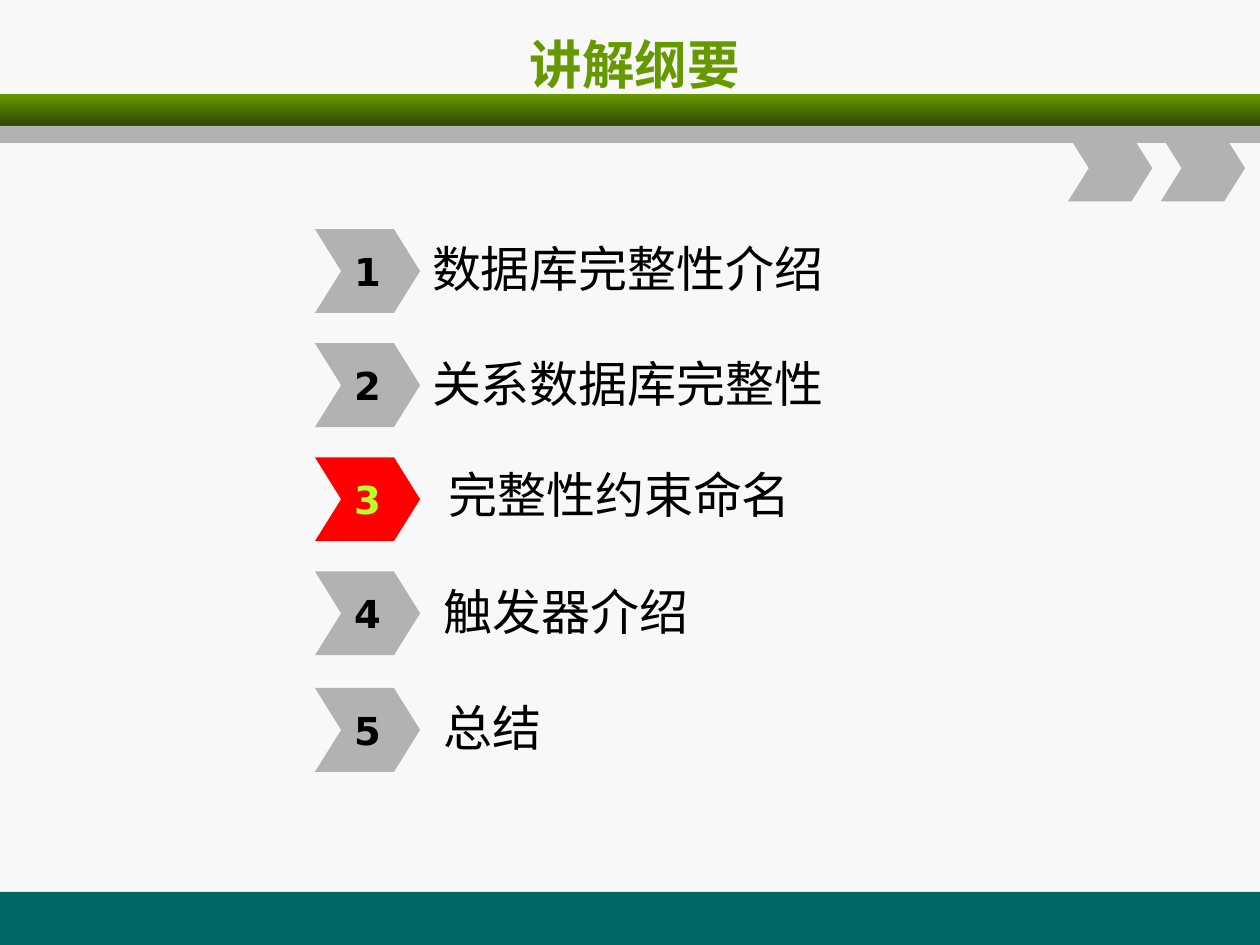
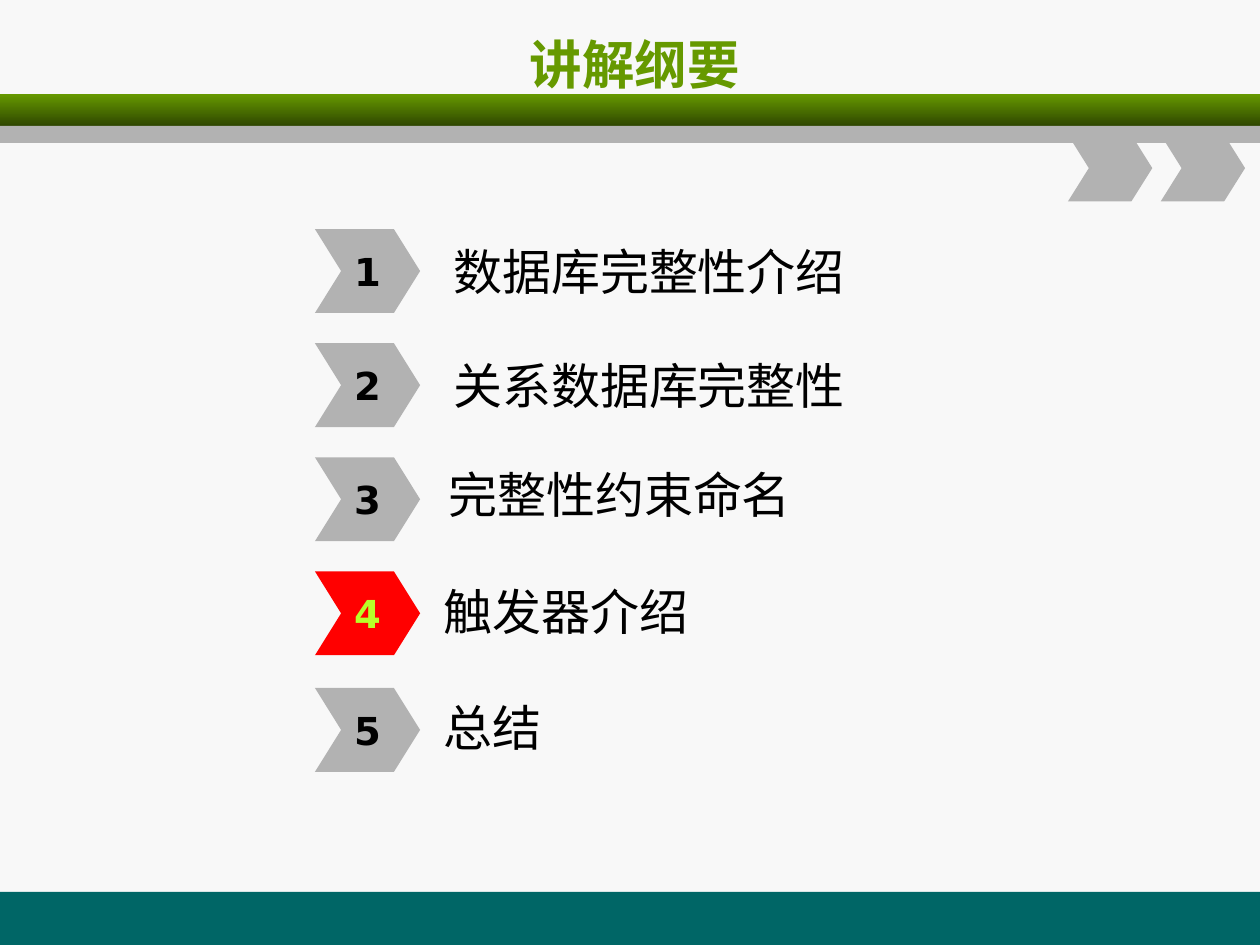
"""Build two outline slides that highlight the current topic of a database lecture."""
from lxml import etree
from pptx import Presentation
from pptx import util as u
from pptx.dml import color
from pptx.enum import shapes, text
from pptx.oxml import ns

TITLE = "讲解纲要"
TOPICS = ["数据库完整性介绍", "关系数据库完整性", "完整性约束命名", "触发器介绍", "总结"]
LOWER_LABELS = [(8.79, 0), (8.69, 0.07), (8.69, 0.05)]
OUTLINES = [
    {"current": 3, "font": "Noto Sans CJK SC",
     "labels": [(8.46, 0.05), (8.46, 0.07)] + LOWER_LABELS},
    {"current": 4, "font": "DejaVu Sans",
     "labels": [(8.89, 0.1), (8.89, 0.1)] + LOWER_LABELS},
]

COLORS = {
    "background": "F8F8F8", "footer": "006666", "green": "669900",
    "dark_green": "2F4700", "grey": "B2B2B2", "red": "FF0000",
    "lime": "B8FF29", "black": "000000",
}
LATIN_FONT = "DejaVu Sans"
ASIAN_FONT = "Noto Sans CJK SC"
MARKER_TOP, MARKER_PITCH, LAST_MARKER_DROP = 4.62, 2.3, 0.05
MARKER_BOX = {"left": 6.35, "width": 2.12, "height": 1.69}


def rgb(name):
    return color.RGBColor.from_string(COLORS[name])


def write(shape, content, size, fill="black", font=LATIN_FONT, bold=False,
          align=text.PP_ALIGN.LEFT, wrap=True):
    frame = shape.text_frame
    frame.word_wrap = wrap
    frame.vertical_anchor = text.MSO_ANCHOR.MIDDLE
    paragraph = frame.paragraphs[0]
    paragraph.alignment = align
    run = paragraph.add_run()
    run.text = content
    run.font.size = u.Pt(size)
    run.font.bold = bold
    run.font.name = font
    run.font.color.rgb = rgb(fill)
    properties = run.font._element if hasattr(run.font, "_element") else run._r.get_or_add_rPr()
    etree.SubElement(properties, ns.qn("a:ea"), typeface=ASIAN_FONT)


def add_block(slide, kind, left, top, width, height, fill, adjustment=None):
    shape = slide.shapes.add_shape(kind, *map(u.Cm, (left, top, width, height)))
    shape.shadow.inherit = False
    shape.line.fill.background()
    shape.fill.solid()
    shape.fill.fore_color.rgb = rgb(fill)
    if adjustment is not None:
        shape.adjustments[0] = adjustment
    return shape


def decorate_layout(layout, slide):
    rectangle, chevron = shapes.MSO_SHAPE.RECTANGLE, shapes.MSO_SHAPE.CHEVRON
    footer = add_block(slide, rectangle, 0, 17.98, 25.4, 1.07, "footer")
    green_band = add_block(slide, rectangle, 0, 1.9, 25.4, 0.64, "green")
    green_band.fill.gradient()
    green_band.fill.gradient_angle = 270
    for stop, name in zip(green_band.fill.gradient_stops, ("green", "dark_green")):
        stop.color.rgb = rgb(name)
    grey_band = add_block(slide, rectangle, 0, 2.54, 25.4, 0.34, "grey")
    arrows = [add_block(slide, chevron, left, 2.72, 1.7, 1.34, "grey", 0.314)
              for left in (21.53, 23.4)]
    for shape in (footer, green_band, grey_band, *arrows):
        layout.shapes.element.append(shape.element)

    title = layout.placeholders[0]
    title.left, title.top, title.width, title.height = map(u.Cm, (1.37, 0.43, 22.86, 1.7))


def fill_outline(slide, outline):
    write(slide.shapes.title, TITLE, 30, fill="green", bold=True, align=text.PP_ALIGN.CENTER)
    for number, (topic, (left, drop)) in enumerate(zip(TOPICS, outline["labels"]), 1):
        top = MARKER_TOP + (number - 1) * MARKER_PITCH
        if number == len(TOPICS):
            top += LAST_MARKER_DROP
        current = number == outline["current"]
        marker = add_block(slide, shapes.MSO_SHAPE.CHEVRON, top=top, adjustment=0.312,
                           fill="red" if current else "grey", **MARKER_BOX)
        write(marker, str(number), 22, fill="lime" if current else "black", bold=True,
              align=text.PP_ALIGN.CENTER, wrap=False)
        label = slide.shapes.add_textbox(*map(u.Cm, (left, top + drop, 15.04, 1.47)))
        write(label, topic, 28, font=outline["font"])


def main():
    presentation = Presentation()
    presentation.slide_width, presentation.slide_height = u.Cm(25.4), u.Cm(19.05)
    background = presentation.slide_master.background.fill
    background.solid()
    background.fore_color.rgb = rgb("background")
    layout = presentation.slide_layouts.get_by_name("Title Only")
    slides = [presentation.slides.add_slide(layout) for _ in OUTLINES]
    decorate_layout(layout, slides[0])
    for slide, outline in zip(slides, OUTLINES):
        fill_outline(slide, outline)
    presentation.save("out.pptx")


if __name__ == "__main__":
    main()
